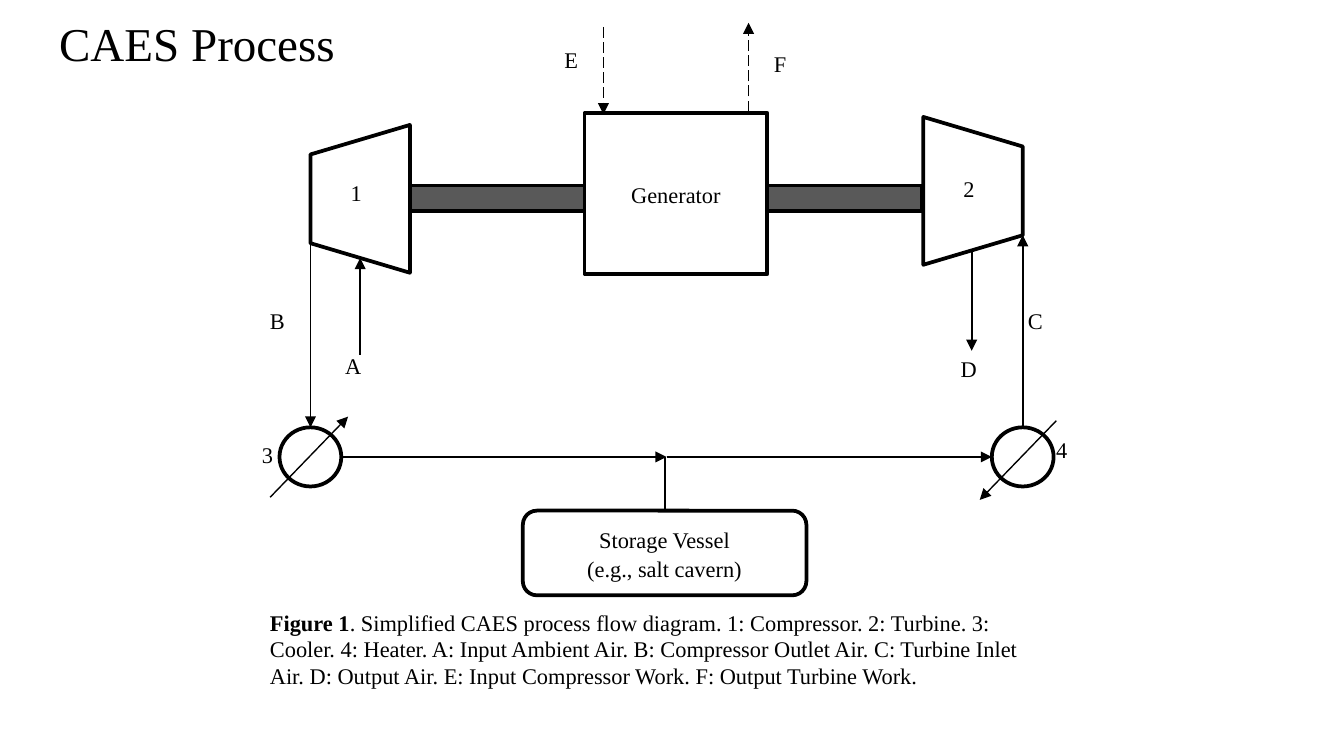
from typing import NamedTuple, Optional

from lxml.etree import SubElement
from pptx import Presentation
from pptx.dml.color import RGBColor
from pptx.enum.dml import MSO_LINE
from pptx.enum.shapes import MSO_CONNECTOR, MSO_SHAPE
from pptx.enum.text import MSO_ANCHOR, MSO_AUTO_SIZE, PP_ALIGN
from pptx.oxml.ns import qn
from pptx.util import Inches, Pt

BLACK = RGBColor(0x00, 0x00, 0x00)
WHITE = RGBColor(0xFF, 0xFF, 0xFF)
SHAFT_GRAY = RGBColor(0x59, 0x59, 0x59)
FONT = "Times New Roman"
CELL = Inches(0.1)  # square grid: 100 columns, 56.25 rows


class Box(NamedTuple):
    col: float
    row: float
    cols: float
    rows: float


class Part(NamedTuple):
    kind: MSO_SHAPE
    box: Box
    fill: RGBColor = WHITE
    outline: Optional[float] = 2
    rotation: int = 0
    lines: tuple = ()
    align: PP_ALIGN = PP_ALIGN.CENTER
    anchor: MSO_ANCHOR = MSO_ANCHOR.MIDDLE


class Flow(NamedTuple):
    start: tuple
    end: tuple
    weight: float = 1
    dashed: bool = False
    arrow: bool = True


class Label(NamedTuple):
    text: str
    col: float
    row: float
    rows: float = 4.6


def cells(values) -> list:
    return [round(value * CELL) for value in values]


def style_runs(frame, size: float) -> None:
    for paragraph in frame.paragraphs:
        for run in paragraph.runs:
            run.font.name = FONT
            run.font.size = Pt(size)
            run.font.color.rgb = BLACK


def write_lines(frame, lines: tuple, align: PP_ALIGN) -> None:
    frame.word_wrap = True
    frame.text = "\n".join(lines)
    for paragraph in frame.paragraphs:
        paragraph.alignment = align
        paragraph.line_spacing = 1.07
    frame.paragraphs[-1].space_after = Pt(8)
    style_runs(frame, 12)


def draw_part(shapes, part: Part):
    shape = shapes.add_shape(part.kind, *cells(part.box))
    shape.shadow.inherit = False
    shape.rotation = part.rotation
    shape.fill.solid()
    shape.fill.fore_color.rgb = part.fill
    if part.outline is None:
        shape.line.fill.background()
    else:
        shape.line.color.rgb = BLACK
        shape.line.width = Pt(part.outline)
    if part.lines:
        shape.text_frame.vertical_anchor = part.anchor
        write_lines(shape.text_frame, part.lines, part.align)
    return shape


def draw_flow(shapes, flow: Flow):
    connector = shapes.add_connector(
        MSO_CONNECTOR.STRAIGHT, *cells(flow.start + flow.end))
    connector.line.color.rgb = BLACK
    connector.line.width = Pt(flow.weight)
    if flow.dashed:
        connector.line.dash_style = MSO_LINE.LONG_DASH
    if flow.arrow:
        SubElement(connector.line._get_or_add_ln(), qn("a:tailEnd"), type="triangle")
    SubElement(connector._element.spPr, qn("a:effectLst"))
    return connector


def draw_label(shapes, label: Label) -> None:
    box = shapes.add_textbox(*cells((label.col, label.row, 3.9, label.rows)))
    write_lines(box.text_frame, (label.text,), PP_ALIGN.LEFT)


def machine(col: float, row: float, rotation: int) -> Part:
    return Part(MSO_SHAPE.FLOWCHART_MANUAL_OPERATION, Box(col, row, 11, 7.4),
                rotation=rotation)


def machine_number(text: str, col: float, row: float) -> Part:
    return Part(MSO_SHAPE.RECTANGLE, Box(col, row, 3.9, 4.6), outline=None,
                lines=(text,), align=PP_ALIGN.LEFT, anchor=MSO_ANCHOR.TOP)


# Places shared by several parts
COOLER_COL, HEATER_COL = 23.1, 76.1
EXCHANGER_TOP, PIPE_ROW = 31.8, 34
JUNCTION = (49.45, PIPE_ROW)

STORAGE = Part(MSO_SHAPE.ROUNDED_RECTANGLE, Box(38.9, 38, 21.1, 6.3),
               lines=("Storage Vessel", "(e.g., salt cavern)"))
EXCHANGERS = [Part(MSO_SHAPE.OVAL, Box(center - 2.3, EXCHANGER_TOP, 4.6, 4.4))
              for center in (COOLER_COL, HEATER_COL)]
AIR_FLOWS = [
    Flow((25.4, PIPE_ROW), (49.6, PIPE_ROW)),
    Flow((49.6, PIPE_ROW), (73.8, PIPE_ROW)),
    Flow((78.6, 31.3), (72.9, 37.2), weight=0.75),
    Flow((20.1, 37), (25.9, 31), weight=0.75),
    Flow((26.8, 26.4), (26.8, 19.2)),
    Flow((COOLER_COL, 14.8), (COOLER_COL, EXCHANGER_TOP)),
    Flow((HEATER_COL, EXCHANGER_TOP), (HEATER_COL, 17.5)),
    Flow((72.3, 18.6), (72.3, 26.1)),
]
MACHINERY = [
    machine(21.3, 11.1, 90),
    Part(MSO_SHAPE.RECTANGLE, Box(30.5, 13.8, 38.1, 1.9), fill=SHAFT_GRAY),
    machine(66.9, 10.5, 270),
    Part(MSO_SHAPE.RECTANGLE, Box(43.5, 8.4, 13.6, 12), lines=("Generator",)),
    machine_number("1", 25.1, 12.7),
    machine_number("2", 70.7, 12.4),
]
WORK_FLOWS = [
    Flow((55.7, 8.3), (55.7, 1.7), weight=0.75, dashed=True),
    Flow((44.9, 2), (44.9, 8.5), weight=0.75, dashed=True),
]
LABELS = [
    Label("A", 24.7, 25.6), Label("B", 19.1, 22.2),
    Label("C", 75.5, 22.2), Label("D", 70.5, 25.8),
    Label("3", 18.5, 32.2), Label("4", 77.6, 31.8),
    Label("F", 56.6, 3.1, 3.4), Label("E", 41, 2.8, 3.4),
]
CAPTION = (
    ". Simplified CAES process flow diagram. 1: Compressor. 2: Turbine. "
    "3: Cooler. 4: Heater. A: Input Ambient Air. B: Compressor Outlet Air. "
    "C: Turbine Inlet Air. D: Output Air. E: Input Compressor Work. "
    "F: Output Turbine Work."
)


def main() -> None:
    deck = Presentation()
    deck.slide_width, deck.slide_height = cells((100, 56.25))
    shapes = deck.slides.add_slide(deck.slide_layouts[5]).shapes

    # Title
    title = shapes.title
    title.left, title.top, title.width, title.height = cells((3.4, 0, 93.2, 6.3))
    heading = title.text_frame
    heading.text = "CAES Process"
    heading.auto_size = MSO_AUTO_SIZE.NONE
    heading.vertical_anchor = MSO_ANCHOR.BOTTOM
    heading.margin_left = heading.margin_right = CELL
    heading.margin_top = heading.margin_bottom = CELL
    heading.paragraphs[0].alignment = PP_ALIGN.LEFT
    style_runs(heading, 25.2)

    # Storage, heat exchangers and air flows
    storage = draw_part(shapes, STORAGE)
    for exchanger in EXCHANGERS:
        draw_part(shapes, exchanger)
    storage_pipe = draw_flow(shapes, Flow(JUNCTION, (49.45, 38), arrow=False))
    storage_pipe.end_connect(storage, 0)
    for flow in AIR_FLOWS:
        draw_flow(shapes, flow)

    # Compressor, shaft, turbine and generator
    for part in MACHINERY:
        draw_part(shapes, part)
    for flow in WORK_FLOWS:
        draw_flow(shapes, flow)
    for label in LABELS:
        draw_label(shapes, label)

    # Caption
    caption = shapes.add_textbox(*cells((19.1, 44.8, 60.2, 9.4))).text_frame
    caption.word_wrap = True
    figure_number = caption.paragraphs[0].add_run()
    figure_number.text = "Figure 1"
    figure_number.font.bold = True
    caption.paragraphs[0].add_run().text = CAPTION
    style_runs(caption, 12)

    deck.save("out.pptx")


if __name__ == "__main__":
    main()
